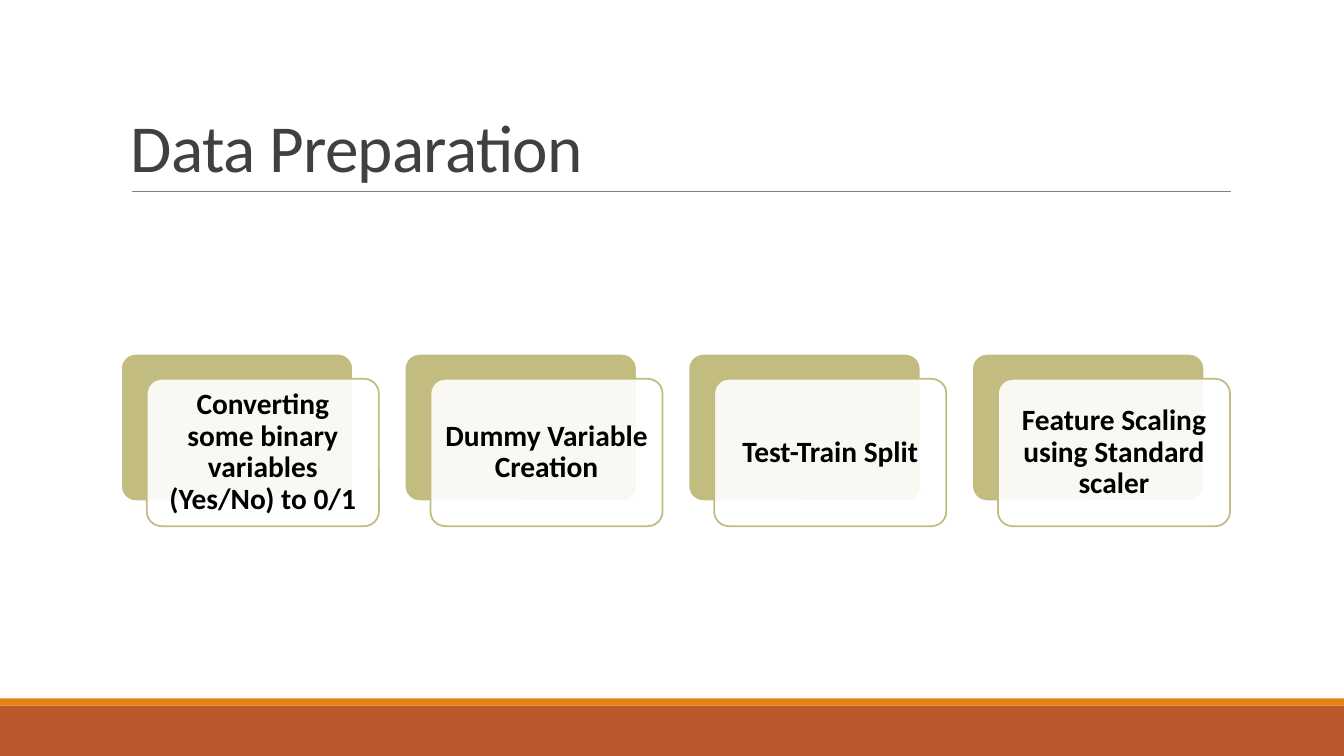
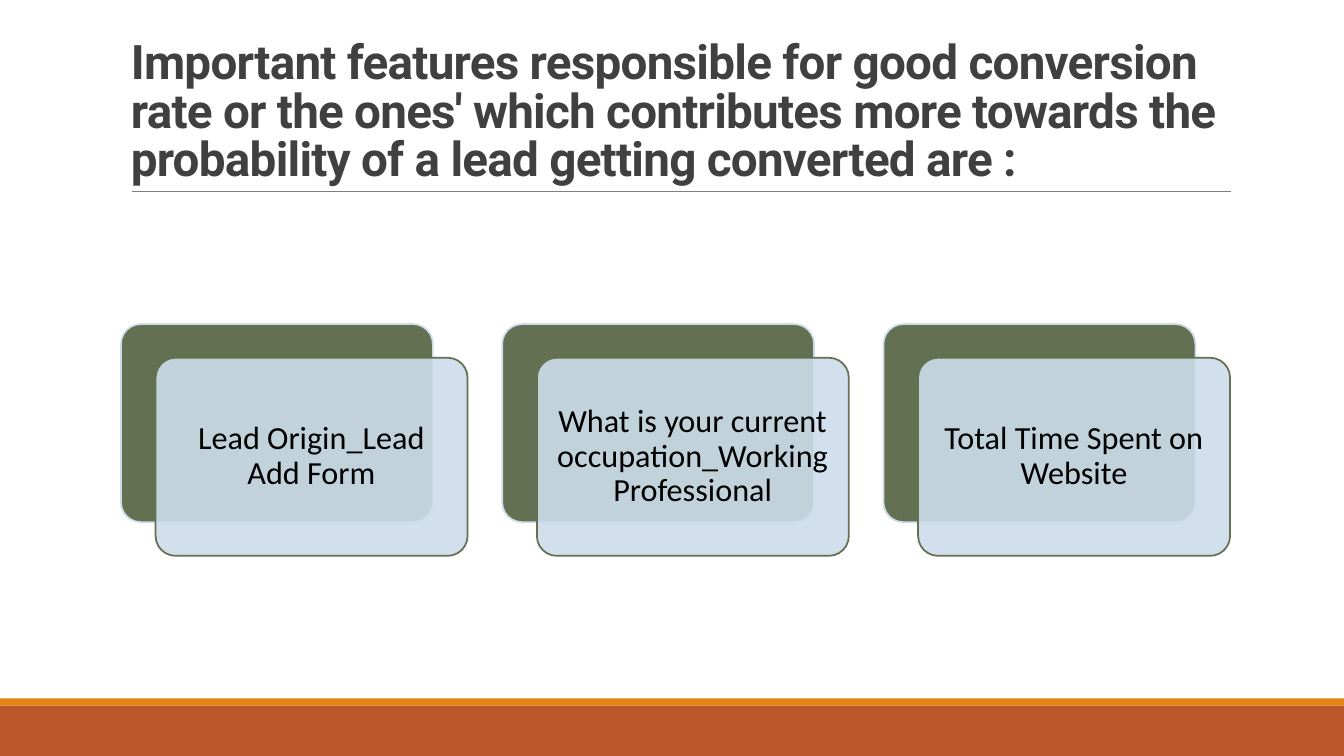
import pptx
import pptx.util
import pptx.dml.color
import pptx.enum.shapes
import pptx.enum.text
import pptx.oxml.ns
import lxml.etree

Inches = pptx.util.Inches
Pt = pptx.util.Pt
RGB = pptx.dml.color.RGBColor.from_string
SHAPES = pptx.enum.shapes.MSO_SHAPE
ANCHOR = pptx.enum.text.MSO_ANCHOR
ALIGN = pptx.enum.text.PP_ALIGN

COLORS = {
    "rust": "BD582C", "orange": "E48312", "rule": "808080", "title": "404040",
    "text": "000000", "white": "FFFFFF", "khaki": "C2BC80",
    "olive": "637052", "sky": "CCDDEA",
}
SLIDE_W, SLIDE_H = 13.33, 7.5
BAND_TOP, STRIPE_H = 7, 0.07
LEFT, CONTENT_W, MIDDLE = 1.2, 11, 4.365
RULE_Y = 1.9

PAGES = [
    {
        "title": "Data Preparation",
        "title_font": ("Calibri", 48, False),
        "colors": ("khaki", "white"),
        "card_font": ("Calibri", 21, True),
        "inset": 0.09,
        "cards": [
            "Converting some binary variables (Yes/No) to 0/1",
            "Dummy Variable Creation",
            "Test-Train Split",
            "Feature Scaling using Standard scaler",
        ],
    },
    {
        "title": "Important features responsible for good conversion rate or the "
                 "ones' which contributes more towards the probability of a lead "
                 "getting converted are :",
        "title_font": ("Roboto", 34, True),
        "colors": ("olive", "sky"),
        "card_font": ("Calibri", 23, False),
        "inset": 0.1,
        "cards": [
            "Lead Origin_Lead Add Form",
            "What is your current occupation_Working Professional",
            "Total Time Spent on Website",
        ],
    },
]


def add_block(slide, kind, box, fill, line=None):
    block = slide.shapes.add_shape(kind, *map(Inches, box))
    block.shadow.inherit = False
    block.fill.solid()
    block.fill.fore_color.rgb = RGB(COLORS[fill])
    if line:
        block.adjustments[0] = 0.1
        block.line.color.rgb = RGB(COLORS[line])
        block.line.width = Pt(1.25)
    else:
        block.line.fill.background()
    return block


def write(frame, text, font, color, spacing, anchor, align):
    frame.text = text
    frame.word_wrap = True
    frame.vertical_anchor = anchor
    paragraph = frame.paragraphs[0]
    paragraph.alignment = align
    paragraph.line_spacing = spacing
    run = paragraph.runs[0]
    run.font.name, size, run.font.bold = font
    run.font.size = Pt(size)
    run.font.color.rgb = RGB(COLORS[color])
    return run


deck = pptx.Presentation()
deck.slide_width, deck.slide_height = Inches(SLIDE_W), Inches(SLIDE_H)

for page in PAGES:
    slide = deck.slides.add_slide(deck.slide_layouts[6])
    add_block(slide, SHAPES.RECTANGLE, (0, BAND_TOP, SLIDE_W, SLIDE_H - BAND_TOP), "rust")
    add_block(slide, SHAPES.RECTANGLE, (0, BAND_TOP - STRIPE_H, SLIDE_W, STRIPE_H), "orange")

    rule = slide.shapes.add_connector(
        pptx.enum.shapes.MSO_CONNECTOR.STRAIGHT,
        *map(Inches, (1.31, RULE_Y, 12.21, RULE_Y)))
    rule.line.color.rgb = RGB(COLORS["rule"])
    rule.line.width = Pt(0.5)
    lxml.etree.SubElement(rule.element.spPr, pptx.oxml.ns.qn("a:effectLst"))

    heading = slide.shapes.add_textbox(*map(Inches, (LEFT, 0.31, CONTENT_W, RULE_Y - 0.31)))
    heading_run = write(heading.text_frame, page["title"], page["title_font"],
                        "title", 0.85, ANCHOR.BOTTOM, ALIGN.LEFT)
    heading_run.font._element.set("spc", "-50")

    # Each card is nine units wide, with one unit of overhang and one of gap.
    unit = CONTENT_W / (11 * len(page["cards"]) - 1)
    card_w = 9 * unit
    card_h = 0.635 * card_w
    drop = 0.17 * card_h
    top = MIDDLE - (card_h + drop) / 2
    dark, light = page["colors"]

    for column, label in enumerate(page["cards"]):
        left = LEFT + column * 11 * unit
        add_block(slide, SHAPES.ROUNDED_RECTANGLE, (left, top, card_w, card_h), dark, light)
        card = add_block(slide, SHAPES.ROUNDED_RECTANGLE,
                         (left + unit, top + drop, card_w, card_h), light, dark)
        tint = card.element.spPr.find(".//" + pptx.oxml.ns.qn("a:srgbClr"))
        lxml.etree.SubElement(tint, pptx.oxml.ns.qn("a:alpha"), val="90000")
        frame = card.text_frame
        frame.margin_left = frame.margin_right = Inches(page["inset"])
        frame.margin_top = frame.margin_bottom = Inches(page["inset"])
        write(frame, label, page["card_font"], "text", 0.9, ANCHOR.MIDDLE, ALIGN.CENTER)

deck.save("out.pptx")
